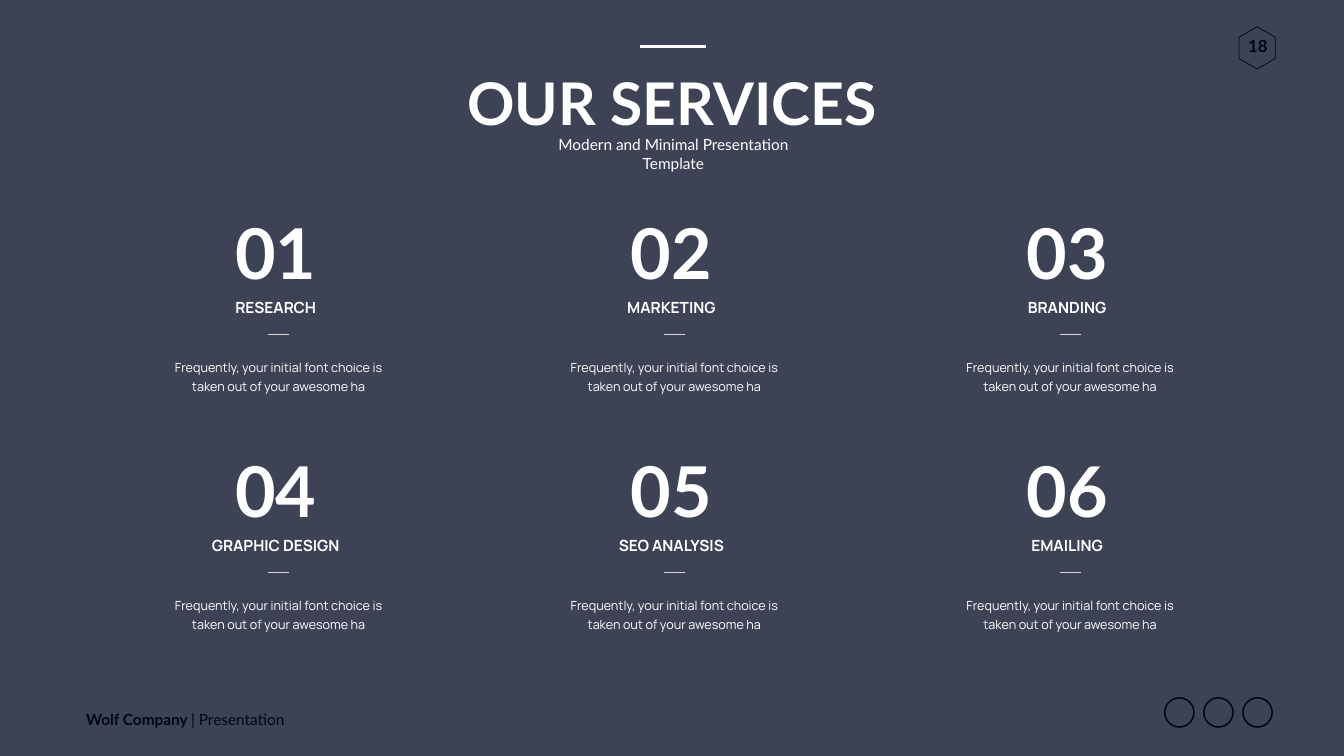
from lxml import etree
from pptx import Presentation
from pptx.dml.color import RGBColor
from pptx.enum.shapes import MSO_CONNECTOR, MSO_SHAPE
from pptx.enum.text import MSO_ANCHOR, MSO_AUTO_SIZE, PP_ALIGN
from pptx.oxml.ns import qn
from pptx.util import Cm, Pt

LEFT, CENTER = PP_ALIGN.LEFT, PP_ALIGN.CENTER
TOP, MIDDLE = MSO_ANCHOR.TOP, MSO_ANCHOR.MIDDLE
NO_FIT = MSO_AUTO_SIZE.NONE
STRAIGHT = MSO_CONNECTOR.STRAIGHT
RECTANGLE, HEXAGON, RING = MSO_SHAPE.RECTANGLE, MSO_SHAPE.HEXAGON, MSO_SHAPE.DONUT
TITLE_ONLY = 5

PAGE_WIDTH, PAGE_HEIGHT = 67.72, 38.1
COLORS = {"ink": "000000", "veil": "000820", "text": "FFFFFF", "rule": "D9D9D9"}
HEADING_FONT, BODY_FONT = "Lato", "Manrope"

SERVICES = ["RESEARCH", "MARKETING", "BRANDING",
            "GRAPHIC DESIGN", "SEO ANALYSIS", "EMAILING"]
DESCRIPTION = "Frequently, your initial font choice is taken out of your awesome ha"
COLUMNS = 3
CARD_WIDTH = 12.78
COLUMN_STEP, ROW_STEP = 19.94, 12


def color(name):
    return RGBColor.from_string(COLORS[name])


def place(box, left, top, width, height):
    box.left, box.top, box.width, box.height = Cm(left), Cm(top), Cm(width), Cm(height)


def write(box, text, size, font=HEADING_FONT, fill="text", bold=False, align=CENTER,
          anchor=TOP, leading=None, inset=(0.25, 0.13)):
    """Fill a box with one evenly formatted paragraph."""
    frame = box.text_frame
    frame.word_wrap, frame.auto_size = True, NO_FIT
    frame.vertical_anchor = anchor
    frame.margin_left = frame.margin_right = Cm(inset[0])
    frame.margin_top = frame.margin_bottom = Cm(inset[1])
    para = frame.paragraphs[0]
    para.text = text
    para.alignment = align
    if leading:
        para.line_spacing = Pt(leading)
    para.font.name, para.font.size, para.font.bold = font, Pt(size), bold
    para.font.color.rgb = color(fill)
    return para


def add_text(page, left, top, width, height, text, size, **style):
    box = page.shapes.add_textbox(Cm(left), Cm(top), Cm(width), Cm(height))
    return write(box, text, size, **style)


def add_shape(page, kind, left, top, width, height, fill=None, line=None):
    shape = page.shapes.add_shape(kind, Cm(left), Cm(top), Cm(width), Cm(height))
    shape.shadow.inherit = False
    if fill:
        shape.fill.solid()
        shape.fill.fore_color.rgb = color(fill)
    else:
        shape.fill.background()
    if line:
        shape.line.color.rgb = color(line)
        shape.line.width = Pt(1)
    else:
        shape.line.fill.background()
    return shape


def add_rule(page, center, top, width, fill, weight):
    rule = page.shapes.add_connector(
        STRAIGHT, Cm(center - width / 2), Cm(top), Cm(center + width / 2), Cm(top))
    rule.line.color.rgb = color(fill)
    rule.line.width = Pt(weight)
    etree.SubElement(rule.element.spPr, qn("a:effectLst"))


def add_footer(page, left, top):
    """Company line on the left, three rings on the right."""
    para = add_text(page, left, top + 0.51, 12, 1.19, "Wolf Company ", 22,
                    fill="ink", align=LEFT, anchor=MIDDLE)
    para.runs[0].font.bold = True
    para.add_run().text = "| Presentation"
    for index in range(3):
        ring = add_shape(page, RING, left + 54.56 + index * 1.97, top, 1.55, 1.55, fill="ink")
        ring.adjustments[0] = 0.05


def add_page_number(page, left, top):
    badge = add_shape(page, HEXAGON, left, top, 2.13, 1.83, line="ink")
    badge.adjustments[0] = 0.29
    badge.rotation = 90
    add_text(page, left, top + 0.15, 2.2, 1.55, "18", 24, fill="ink", bold=True)


def add_veil(page):
    """Translucent cover over the footer and page number."""
    veil = add_shape(page, RECTANGLE, 0, 0, PAGE_WIDTH, PAGE_HEIGHT, fill="veil")
    shade = veil.element.spPr.find(".//" + qn("a:srgbClr"))
    etree.SubElement(shade, qn("a:alpha")).set("val", "76000")
    return veil


def add_header(page, veil, center, top):
    title = page.shapes.title
    veil.element.addnext(title.element)
    place(title, center - 12, top + 0.91, 24, 3.84)
    write(title, "OUR SERVICES", 84, bold=True)
    add_text(page, center - 7.5, top + 4.82, 15.14, 1.19,
             "Modern and Minimal Presentation Template", 22, anchor=MIDDLE)
    add_rule(page, center + 0.05, top, 3.3, "text", 4.5)


def add_service(page, left, top, number, name):
    center = left + CARD_WIDTH / 2
    add_text(page, center - 4.15, top, 8, 4.52, f"{number:02}", 100, bold=True)
    add_text(page, center - 4.15, top + 4.47, 8, 1.22, name, 22,
             font=BODY_FONT, bold=True, leading=26.8)
    add_rule(page, center, top + 6.45, 1.07, "rule", 0.5)
    add_text(page, left, top + 7.21, CARD_WIDTH, 2.54, DESCRIPTION, 18,
             font=BODY_FONT, leading=27.4, inset=(0.61, 0.3))


def add_services(page, left, top):
    for index, name in enumerate(SERVICES):
        row, column = divmod(index, COLUMNS)
        add_service(page, left + column * COLUMN_STEP, top + row * ROW_STEP, index + 1, name)


def main():
    deck = Presentation()
    deck.slide_width, deck.slide_height = Cm(PAGE_WIDTH), Cm(PAGE_HEIGHT)
    page = deck.slides.add_slide(deck.slide_layouts[TITLE_ONLY])
    add_footer(page, 4.09, 35.13)
    add_page_number(page, 62.28, 1.5)
    veil = add_veil(page)
    add_header(page, veil, PAGE_WIDTH / 2, 2.34)
    add_services(page, 7.65, 10.41)
    deck.save("out.pptx")


if __name__ == "__main__":
    main()
